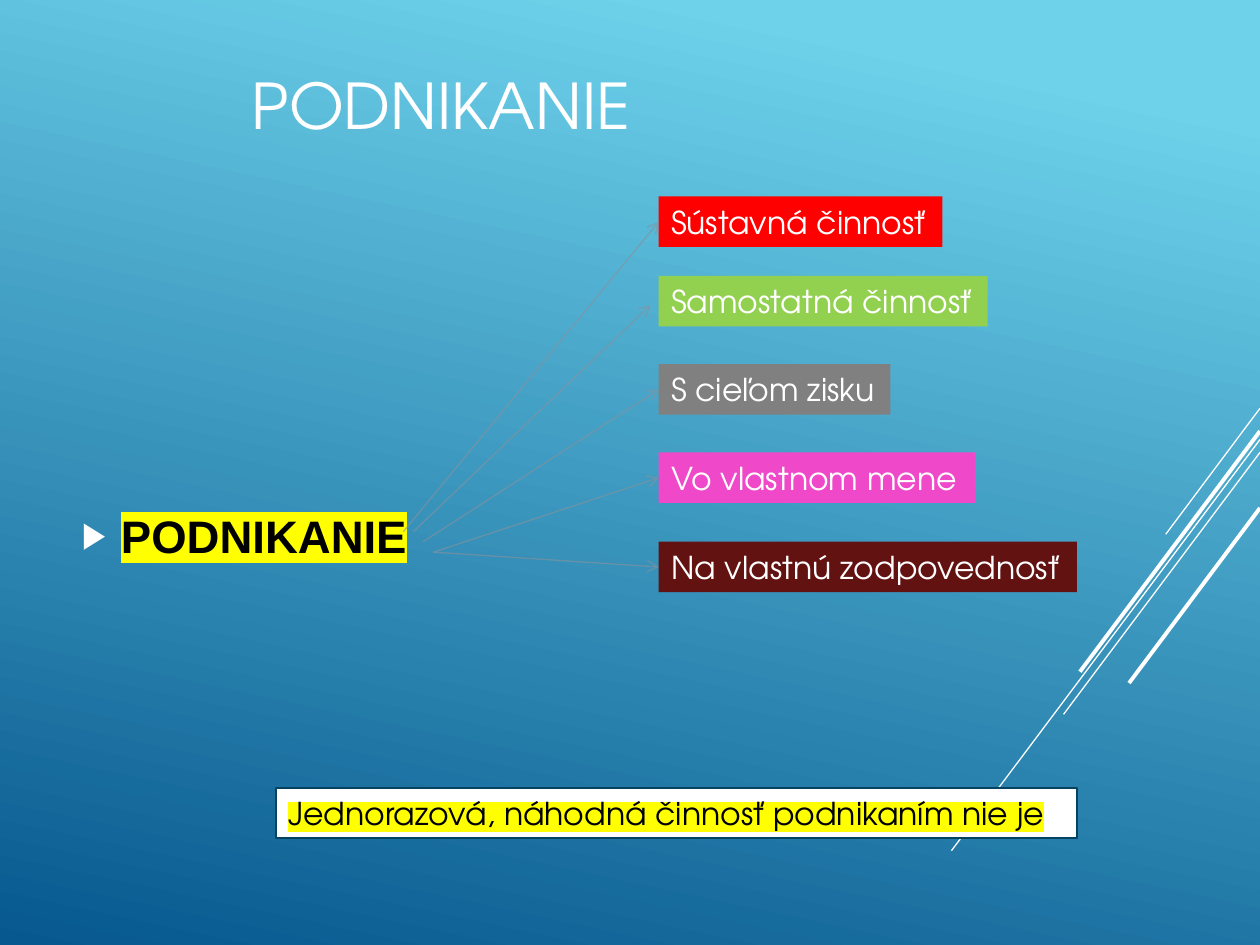
from typing import NamedTuple, Optional

from lxml import etree
from pptx import Presentation
from pptx import util as u
from pptx.dml.color import RGBColor
from pptx.enum import shapes, text
from pptx.oxml.ns import qn

HEADING = "TeX Gyre Adventor"
WHITE, BLACK, YELLOW, GREY = "FFFFFF", "000000", "FFFF00", "89919C"
LABEL_LEFT, LABEL_HEIGHT = 13.28, 1.02
SLIDE_WIDTH = 25.4


class Feature(NamedTuple):
    words: str
    top: float
    width: float
    color: str
    arrow_start: tuple[float, float]
    arrow_end: Optional[tuple[float, float]] = None  # None: joined to the label


class Stripe(NamedTuple):
    right_y: float
    end: tuple[float, float]
    weight: float


FEATURES = [
    Feature("Sústavná činnosť", 3.96, 5.72, "FF0000", (8.13, 10.72)),
    Feature("Samostatná činnosť", 5.56, 6.63, "92D050", (8.33, 10.72), (13.11, 6.15)),
    Feature("S cieľom zisku", 7.34, 4.67, "808080", (8.53, 10.92)),
    Feature("Vo vlastnom mene", 9.12, 6.38, "EF48C9", (8.74, 11.13)),
    Feature("Na vlastnú zodpovednosť", 10.92, 8.43, "631212", (8.74, 11.13)),
]
STRIPES = [
    Stripe(8.23, (23.5, 10.77), 0.75),
    Stripe(8.86, (19.18, 17.15), 0.75),
    Stripe(9.12, (21.44, 14.4), 0.75),
    Stripe(8.69, (21.77, 13.54), 2.25),
    Stripe(10.24, (22.76, 13.77), 2.25),
]


def rgb(value: str) -> RGBColor:
    return RGBColor.from_string(value)


def add_xml(parent, tag: str, **attributes: str):
    return etree.SubElement(parent, qn(tag), attributes)


def write(tf, words: str, color: str, highlight: str = "", **font):
    p = tf.paragraphs[0]
    r = p.add_run()
    r.text = words
    r.font.color.rgb = rgb(color)
    if highlight:
        mark = add_xml(r._r.get_or_add_rPr(), "a:highlight")
        add_xml(mark, "a:srgbClr", val=highlight)
    for name, value in ({"name": HEADING, "size": u.Pt(18)} | font).items():
        setattr(r.font, name, value)
    return p


def add_text(s, left: float, top: float, width: float, height: float):
    tf = s.shapes.add_textbox(*map(u.Cm, (left, top, width, height))).text_frame
    tf.word_wrap = True
    tf.vertical_anchor = text.MSO_ANCHOR.MIDDLE
    return tf


def add_label(s, left: float, top: float, width: float, words: str,
              fill: str, color: str = WHITE, highlight: str = ""):
    sp = s.shapes.add_shape(shapes.MSO_SHAPE.RECTANGLE,
                            *map(u.Cm, (left, top, width, LABEL_HEIGHT)))
    sp.shadow.inherit = False
    sp.fill.solid()
    sp.fill.fore_color.rgb = rgb(fill)
    sp.line.fill.background()
    sp.text_frame.word_wrap = False
    sp.text_frame.auto_size = text.MSO_AUTO_SIZE.SHAPE_TO_FIT_TEXT
    p = write(sp.text_frame, words, color, highlight)
    p.alignment = text.PP_ALIGN.LEFT
    return sp


def add_line(s, start: tuple[float, float], end: tuple[float, float],
             color: str, weight: float):
    line = s.shapes.add_connector(shapes.MSO_CONNECTOR.STRAIGHT,
                                  *map(u.Cm, (*start, *end)))
    line.line.color.rgb = rgb(color)
    line.line.width = u.Pt(weight)
    add_xml(line._element.spPr, "a:effectLst")
    return line


def add_arrow(s, feature: Feature, label) -> None:
    middle = (LABEL_LEFT, feature.top + LABEL_HEIGHT / 2)
    arrow = add_line(s, feature.arrow_start, feature.arrow_end or middle, GREY, 0.75)
    if feature.arrow_end is None:
        arrow.end_connect(label, 1)
    ln = arrow.line._get_or_add_ln()
    add_xml(ln.find(".//" + qn("a:srgbClr")), "a:alpha", val="60000")
    add_xml(ln, "a:tailEnd", type="arrow")


def set_background(s) -> None:
    fill = s.background.fill
    fill.gradient()
    fill.gradient_angle = 258
    for stop, (position, color) in zip(fill.gradient_stops,
                                       [(0.1, "6ED2EB"), (1, "06588E")]):
        stop.position = position
        stop.color.rgb = rgb(color)


def add_bullet(p) -> None:
    pPr = p._p.get_or_add_pPr()
    indent = u.Cm(0.79)
    pPr.set("marL", str(indent))
    pPr.set("indent", str(-indent))
    add_xml(add_xml(pPr, "a:buClr"), "a:srgbClr", val=WHITE)
    add_xml(pPr, "a:buSzPct", val="80000")
    add_xml(pPr, "a:buFont", typeface="Arial")
    add_xml(pPr, "a:buChar", char="▶")


def main() -> None:
    prs = Presentation()
    prs.slide_width, prs.slide_height = u.Cm(SLIDE_WIDTH), u.Cm(19.05)
    s = prs.slides.add_slide(prs.slide_layouts[6])
    set_background(s)
    for stripe in STRIPES:
        add_line(s, (SLIDE_WIDTH, stripe.right_y), stripe.end, WHITE, stripe.weight)

    title = write(add_text(s, 0, 0, 17.78, 4.19), "PODNIKANIE", WHITE, size=u.Pt(36))
    title.alignment = text.PP_ALIGN.CENTER
    term = write(add_text(s, 1.4, 5.77, 17.78, 10.03), "PODNIKANIE", BLACK, YELLOW,
                 name="Arial", size=u.Pt(26), bold=True)
    add_bullet(term)

    labels = [add_label(s, LABEL_LEFT, f.top, f.width, f.words, f.color)
              for f in FEATURES]
    for feature, label in zip(FEATURES, labels):
        add_arrow(s, feature, label)

    note = add_label(s, 5.56, 15.88, 16.15,
                     "Jednorazová, náhodná činnosť podnikaním nie je",
                     WHITE, BLACK, YELLOW)
    note.line.color.rgb = rgb("054361")
    note.line.width = u.Pt(1.25)
    prs.save("out.pptx")


if __name__ == "__main__":
    main()
